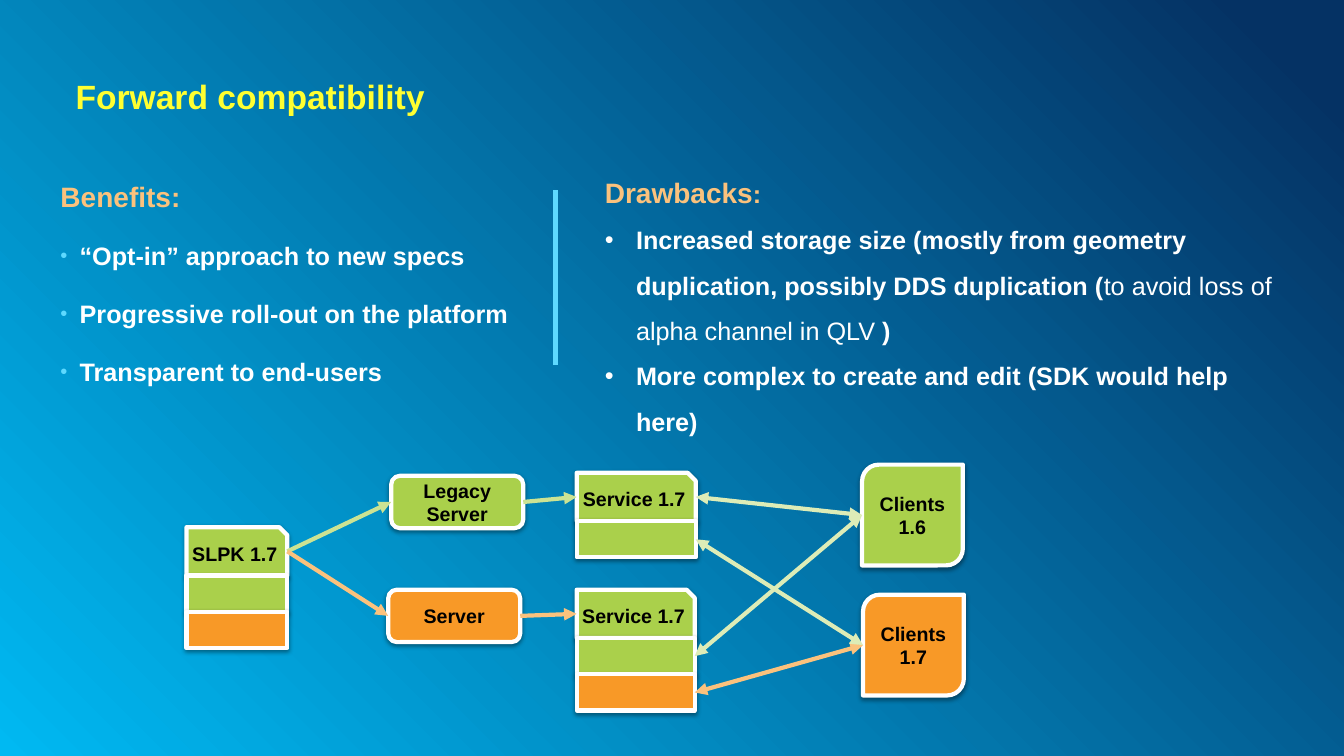
from lxml import etree
from pptx import Presentation
from pptx.dml.color import RGBColor
from pptx.enum.shapes import MSO_CONNECTOR, MSO_SHAPE
from pptx.enum.text import MSO_ANCHOR, PP_ALIGN
from pptx.oxml.ns import qn
from pptx.util import Inches, Pt

RECT = MSO_SHAPE.RECTANGLE
ROUNDED = MSO_SHAPE.ROUNDED_RECTANGLE
SNIPPED = MSO_SHAPE.SNIP_1_RECTANGLE
DIAGONAL = MSO_SHAPE.ROUND_2_DIAG_RECTANGLE
STRAIGHT = MSO_CONNECTOR.STRAIGHT
LEFT, CENTER = PP_ALIGN.LEFT, PP_ALIGN.CENTER
TOP, MIDDLE = MSO_ANCHOR.TOP, MSO_ANCHOR.MIDDLE
LEFT_SIDE, RIGHT_SIDE = 1, 3

WHITE = RGBColor(0xFF, 0xFF, 0xFF)
BLACK = RGBColor(0, 0, 0)
YELLOW = RGBColor(0xFF, 0xFF, 0x31)
PEACH = RGBColor(0xFB, 0xC2, 0x7D)
CYAN = RGBColor(0x5E, 0xD9, 0xFF)
GREEN = RGBColor(0xAA, 0xD0, 0x4B)
ORANGE = RGBColor(0xF8, 0x99, 0x27)
LIME = RGBColor(0xCC, 0xE3, 0x93)
PALE_LIME = RGBColor(0xDD, 0xEC, 0xB7)
SKY = RGBColor(0x00, 0xB9, 0xF2)
NAVY = RGBColor(0x05, 0x32, 0x64)

HEADER_HEIGHT, LAYER_HEIGHT = 0.48, 0.36


def add_xml(parent, tag, **attributes):
    return etree.SubElement(parent, qn(tag), attributes)


def paint_background(slide):
    fill = slide.background.fill
    fill.gradient()
    for stop, color, position in zip(fill.gradient_stops, (SKY, NAVY), (0, 0.95)):
        stop.color.rgb = color
        stop.position = position
    # Circular spread from the bottom left corner
    gradient = next(slide.element.iter(qn("a:gradFill")))
    gradient.remove(gradient.find(qn("a:lin")))
    spread = add_xml(gradient, "a:path", path="circle")
    add_xml(spread, "a:fillToRect", t="100000", r="100000")


def write(frame, *runs, size=18, color=WHITE, align=LEFT, spacing=None,
          before=0, after=0, margin=0, hanging=0, level=0, bullet_color=None,
          bullet_size=100):
    """Add one paragraph; each run is a text or a (text, format) pair."""
    paragraph = frame.paragraphs[0]
    if paragraph.runs:
        paragraph = frame.add_paragraph()
    paragraph.alignment, paragraph.level = align, level
    paragraph.space_before, paragraph.space_after = Pt(before), Pt(after)
    if spacing:
        paragraph.line_spacing = spacing
    for item in runs:
        text, special = (item, {}) if isinstance(item, str) else item
        run = paragraph.add_run()
        run.text = text
        run.font.name = "Arial"
        run.font.size = Pt(special.get("size", size))
        run.font.bold = special.get("bold", True)
        run.font.color.rgb = color
    properties = paragraph._p.get_or_add_pPr()
    properties.set("marL", str(Inches(margin)))
    properties.set("indent", str(Inches(-hanging)))
    if bullet_color is not None:
        add_xml(add_xml(properties, "a:buClr"), "a:srgbClr", val=str(bullet_color))
        add_xml(properties, "a:buSzPct", val=str(bullet_size * 1000))
        add_xml(properties, "a:buFont", typeface="Arial")
        add_xml(properties, "a:buChar", char="•")


def add_text_box(slide, x, y, width, height, inset=True, anchor=TOP):
    box = slide.shapes.add_textbox(Inches(x), Inches(y), Inches(width), Inches(height))
    frame = box.text_frame
    frame.word_wrap = True
    frame.vertical_anchor = anchor
    if not inset:
        frame.margin_left = frame.margin_right = 0
        frame.margin_top = frame.margin_bottom = 0
    return frame


def add_node(shapes, kind, x, y, width, height, fill, *lines):
    node = shapes.add_shape(kind, Inches(x), Inches(y), Inches(width), Inches(height))
    node.fill.solid()
    node.fill.fore_color.rgb = fill
    node.line.color.rgb = WHITE
    node.line.width = Pt(3)
    # Soft shadow below the node
    node.shadow.inherit = False
    effects = node.element.spPr.find(qn("a:effectLst"))
    shadow = add_xml(effects, "a:outerShdw", blurRad=str(Pt(3.1)), dist=str(Pt(1.6)),
                     dir="5400000", rotWithShape="0")
    add_xml(add_xml(shadow, "a:srgbClr", val=str(BLACK)), "a:alpha", val="38000")
    frame = node.text_frame
    frame.word_wrap = False
    frame.vertical_anchor = MIDDLE
    for line in lines:
        write(frame, line, size=14, color=BLACK, align=CENTER)
    return node


def add_stack(slide, x, y, width, label, *layer_colors):
    """A labelled header with layers under it; returns them from top to bottom."""
    shapes = slide.shapes.add_group_shape().shapes
    parts = [add_node(shapes, SNIPPED, x, y, width, HEADER_HEIGHT, GREEN, label)]
    for index, color in enumerate(layer_colors):
        layer_y = y + HEADER_HEIGHT + index * LAYER_HEIGHT
        parts.append(add_node(shapes, RECT, x, layer_y, width, LAYER_HEIGHT, color))
    return parts


def add_line(slide, start, end, color):
    line = slide.shapes.add_connector(STRAIGHT, *start, *end)
    line.line.color.rgb = color
    line.line.width = Pt(3)
    add_xml(line.element.spPr, "a:effectLst")
    return line


def side_middle(node, side):
    x = node.left if side == LEFT_SIDE else node.left + node.width
    return x, node.top + node.height // 2


def add_arrow(slide, source, target, color, both_ways=False):
    """Arrow from the right side of source to the left side of target."""
    arrow = add_line(slide, side_middle(source, RIGHT_SIDE),
                     side_middle(target, LEFT_SIDE), color)
    if source.auto_shape_type in (RECT, ROUNDED):
        arrow.begin_connect(source, RIGHT_SIDE)
    if target.auto_shape_type in (RECT, ROUNDED):
        arrow.end_connect(target, LEFT_SIDE)
    outline = arrow.get_or_add_ln()
    if both_ways:
        add_xml(outline, "a:headEnd", type="triangle")
    add_xml(outline, "a:tailEnd", type="triangle")


def add_texts(slide):
    title = add_text_box(slide, 0.75, 0.75, 11.84, 0.4, inset=False)
    write(title, "Forward compatibility", size=24, color=YELLOW)

    # Benefits
    benefits = add_text_box(slide, 0.6, 1.61, 4.98, 2.5, inset=False)
    rhythm = dict(spacing=1.5, before=3, after=6)
    write(benefits, "Benefits:", size=20, color=PEACH, **rhythm)
    for benefit in ("“Opt-in” approach to new specs",
                    "Progressive roll-out on the platform",
                    "Transparent to end-users"):
        write(benefits, benefit, margin=0.19, hanging=0.19, bullet_color=CYAN,
              bullet_size=80, **rhythm)

    # Drawbacks
    drawbacks = add_text_box(slide, 5.4, 1.53, 7.51, 2.88)
    write(drawbacks, "Drawbacks", (":", {"size": 18}), size=20, color=PEACH,
          spacing=1.5, margin=0.5)
    storage = ("Increased storage size (mostly from geometry duplication, "
               "possibly DDS duplication (",
               ("to avoid loss of alpha channel in QLV", {"bold": False}), " )")
    editing = ("More complex to create and edit (SDK would help here)",)
    for drawback in (storage, editing):
        write(drawbacks, *drawback, spacing=1.5, margin=0.81, hanging=0.31,
              level=1, bullet_color=WHITE)

    # Divider between the columns
    add_line(slide, (Inches(5.51), Inches(1.89)), (Inches(5.51), Inches(3.62)), CYAN)


def add_diagram(slide):
    # Servers, package, services and clients
    shapes = slide.shapes
    legacy_server = add_node(shapes, ROUNDED, 3.88, 4.72, 1.31, 0.52, GREEN,
                             "Legacy", "Server")
    server = add_node(shapes, ROUNDED, 3.85, 5.85, 1.31, 0.52, ORANGE, "Server")
    package = add_stack(slide, 1.85, 5.23, 1, "SLPK 1.7", GREEN, ORANGE)[0]
    service, service_green, service_orange = add_stack(
        slide, 5.72, 5.85, 1.17, "Service 1.7", GREEN, ORANGE)
    legacy_service, legacy_green = add_stack(
        slide, 5.72, 4.69, 1.18, "Service 1.7", GREEN)
    new_clients = add_node(shapes, DIAGONAL, 8.56, 5.9, 1, 1, ORANGE, "Clients", "1.7")
    old_clients = add_node(shapes, DIAGONAL, 8.55, 4.61, 1, 1, GREEN, "Clients", "1.6")

    # Publishing path
    for source, target, color in ((package, legacy_server, LIME),
                                  (legacy_server, legacy_service, LIME),
                                  (package, server, PEACH),
                                  (server, service, PEACH)):
        add_arrow(slide, source, target, color)

    # Exchange between services and clients
    for source, target, color in ((service_orange, new_clients, PEACH),
                                  (legacy_green, new_clients, PALE_LIME),
                                  (legacy_service, old_clients, PALE_LIME),
                                  (service_green, old_clients, PALE_LIME)):
        add_arrow(slide, source, target, color, both_ways=True)


def main():
    presentation = Presentation()
    presentation.slide_width = Inches(13.33)
    presentation.slide_height = Inches(7.5)
    slide = presentation.slides.add_slide(presentation.slide_layouts[6])
    paint_background(slide)
    add_texts(slide)
    add_diagram(slide)
    presentation.save("out.pptx")


if __name__ == "__main__":
    main()
